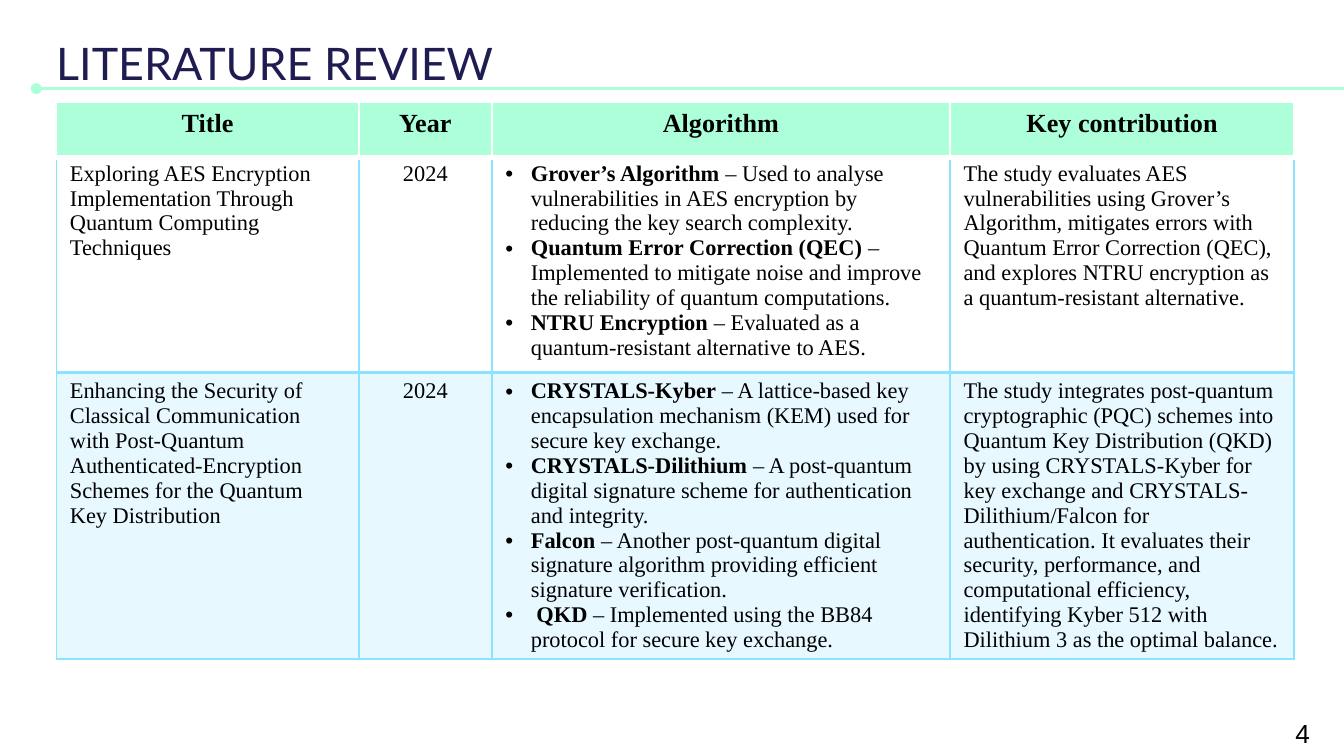
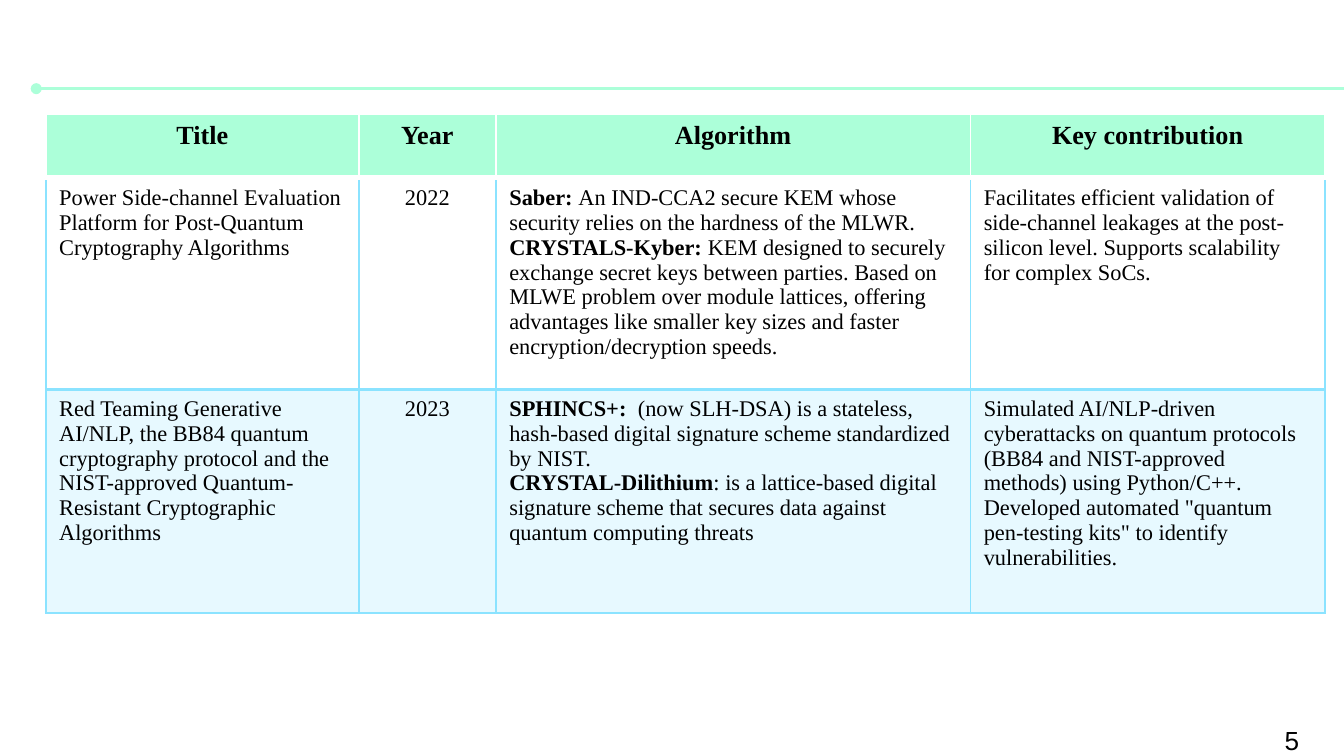
import pptx
import pptx.dml.color
import pptx.enum.shapes
import pptx.enum.text
import pptx.oxml.ns
import pptx.util
from lxml import etree

Inches = pptx.util.Inches
Pt = pptx.util.Pt
RGBColor = pptx.dml.color.RGBColor
ALIGN = pptx.enum.text.PP_ALIGN
qn = pptx.oxml.ns.qn

MINT = RGBColor(0xAC, 0xFF, 0xD9)
SKY = RGBColor(0x8B, 0xE3, 0xFF)
NAVY = RGBColor(0x1F, 0x1C, 0x51)
BLACK = RGBColor(0, 0, 0)
WHITE = RGBColor(0xFF, 0xFF, 0xFF)

SLIDE_W = 10
SLIDE_H = SLIDE_W * 9 / 16
SERIF, TITLE_FONT, NUMBER_FONT = "Times New Roman", "Lato", "Arial"
HEADINGS = ["Title", "Year", "Algorithm", "Key contribution"]
YEAR_COLUMN, ALGORITHM_COLUMN = 1, 2
BULLET_INDENT = 0.19

# Each paper: title, year, [(algorithm, description), ...], key contribution
AES_AND_QKD_PAPERS = [
    ("Exploring AES Encryption Implementation Through Quantum Computing Techniques",
     "2024",
     [("Grover’s Algorithm ", "– Used to analyse vulnerabilities in AES encryption by "
       "reducing the key search complexity."),
      ("Quantum Error Correction (QEC)", " – Implemented to mitigate noise and improve "
       "the reliability of quantum computations."),
      ("NTRU Encryption ", "– Evaluated as a quantum-resistant alternative to AES.")],
     "The study evaluates AES vulnerabilities using Grover’s Algorithm, mitigates errors "
     "with Quantum Error Correction (QEC), and explores NTRU encryption as a "
     "quantum-resistant alternative."),
    ("Enhancing the Security of Classical Communication with Post-Quantum "
     "Authenticated-Encryption Schemes for the Quantum Key Distribution",
     "2024",
     [("CRYSTALS-Kyber", " – A lattice-based key encapsulation mechanism (KEM) used for "
       "secure key exchange."),
      ("CRYSTALS-Dilithium", " – A post-quantum digital signature scheme for "
       "authentication and integrity."),
      ("Falcon", " – Another post-quantum digital signature algorithm providing "
       "efficient signature verification."),
      (" QKD", " – Implemented using the BB84 protocol for secure key exchange.")],
     "The study integrates post-quantum cryptographic (PQC) schemes into Quantum Key "
     "Distribution (QKD) by using CRYSTALS-Kyber for key exchange and "
     "CRYSTALS-Dilithium/Falcon for authentication. It evaluates their security, "
     "performance, and computational efficiency, identifying Kyber 512 with Dilithium 3 "
     "as the optimal balance."),
]
EVALUATION_PAPERS = [
    ("Power Side-channel Evaluation Platform for Post-Quantum Cryptography Algorithms",
     "2022",
     [("Saber: ", "An IND-CCA2 secure KEM whose security relies on the hardness of the "
       "MLWR."),
      ("CRYSTALS-Kyber: ", "KEM designed to securely exchange secret keys between "
       "parties. Based on MLWE problem over module lattices, offering advantages like "
       "smaller key sizes and faster encryption/decryption speeds.")],
     "Facilitates efficient validation of side-channel leakages at the post-silicon "
     "level. Supports scalability for complex SoCs."),
    ("Red Teaming Generative AI/NLP, the BB84 quantum cryptography protocol and the "
     "NIST-approved Quantum-Resistant Cryptographic Algorithms",
     "2023",
     [("SPHINCS+:  ", "(now SLH-DSA) is a stateless, hash-based digital signature scheme "
       "standardized by NIST."),
      ("CRYSTAL-Dilithium", ": is a lattice-based digital signature scheme that secures "
       "data against quantum computing threats")],
     "Simulated AI/NLP-driven cyberattacks on quantum protocols (BB84 and NIST-approved "
     "methods) using Python/C++. Developed automated \"quantum pen-testing kits\" to "
     "identify vulnerabilities."),
]


def add_bullet(paragraph):
    props = paragraph._p.get_or_add_pPr()
    props.set("marL", str(Inches(BULLET_INDENT)))
    props.set("indent", str(-Inches(BULLET_INDENT)))
    bullet_color = etree.SubElement(props, qn("a:buClr"))
    etree.SubElement(bullet_color, qn("a:srgbClr"), val=str(BLACK))
    etree.SubElement(props, qn("a:buFont"), typeface=NUMBER_FONT)
    etree.SubElement(props, qn("a:buChar"), char="•")


def write(frame, content, size=12, font=SERIF, color=BLACK, bold=False,
          align=ALIGN.LEFT, bullets=False):
    """Fill a frame with one string, or with (bold lead, plain rest) paragraphs."""
    frame.word_wrap = True
    paragraphs = [[(content, bold)]] if isinstance(content, str) else [
        [(lead, True), (rest, False)] for lead, rest in content]
    for index, pieces in enumerate(paragraphs):
        paragraph = frame.add_paragraph() if index else frame.paragraphs[0]
        paragraph.alignment = align
        if bullets:
            add_bullet(paragraph)
        for text, is_bold in pieces:
            run = paragraph.add_run()
            run.text = text
            run.font.size = Pt(size)
            run.font.name = font
            run.font.bold = is_bold
            run.font.color.rgb = color


def add_text(slide, left, top, width, height, content, **text_format):
    box = slide.shapes.add_textbox(Inches(left), Inches(top), Inches(width), Inches(height))
    write(box.text_frame, content, **text_format)
    return box


def set_borders(cell, color, bottom):
    """Draw 1 pt sides and a bottom edge of the given weight."""
    props = cell._tc.get_or_add_tcPr()
    for index, (side, weight) in enumerate(zip("LRTB", (1, 1, 1, bottom))):
        edge = etree.Element(qn(f"a:ln{side}"), w=str(Pt(weight)))
        fill = etree.SubElement(edge, qn("a:solidFill"))
        etree.SubElement(fill, qn("a:srgbClr"), val=str(color))
        props.insert(index, edge)


def fill_cell(cell, color, opacity=100):
    cell.fill.solid()
    cell.fill.fore_color.rgb = color
    if opacity < 100:
        tint = cell._tc.tcPr.find(qn("a:solidFill")).find(qn("a:srgbClr"))
        etree.SubElement(tint, qn("a:alpha"), val=str(opacity * 1000))


def add_grid(slide, left, top, widths, heights):
    frame = slide.shapes.add_table(len(heights), len(widths), Inches(left), Inches(top),
                                   Inches(sum(widths)), Inches(sum(heights)))
    grid = frame.table
    grid.first_row = grid.horz_banding = False
    for column, width in zip(grid.columns, widths):
        column.width = Inches(width)
    for row, height in zip(grid.rows, heights):
        row.height = Inches(height)
    return grid


def add_heading_row(slide, left, top, widths, height):
    grid = add_grid(slide, left, top, widths, [height])
    for cell, heading in zip(grid.rows[0].cells, HEADINGS):
        write(cell.text_frame, heading, size=14, bold=True, align=ALIGN.CENTER)
        fill_cell(cell, MINT)
        set_borders(cell, WHITE, bottom=3)


def add_papers(slide, left, top, widths, heights, papers, bullets):
    grid = add_grid(slide, left, top, widths, heights)
    for index, paper in enumerate(papers):
        shaded = index % 2 == 1
        for column, content in enumerate(paper):
            cell = grid.cell(index, column)
            write(cell.text_frame, content,
                  align=ALIGN.CENTER if column == YEAR_COLUMN else ALIGN.LEFT,
                  bullets=bullets and column == ALGORITHM_COLUMN)
            if shaded:
                fill_cell(cell, SKY, opacity=20)
            else:
                cell.fill.background()
            set_borders(cell, SKY, bottom=1 if shaded else 2)


def add_title_rule(slide):
    rule = slide.shapes.add_connector(pptx.enum.shapes.MSO_CONNECTOR.STRAIGHT, Inches(0.27),
                                      Inches(0.66), Inches(10.1), Inches(0.66))
    rule.line.color.rgb = MINT
    rule.line.width = Pt(1.5)
    etree.SubElement(rule.line._get_or_add_ln(), qn("a:headEnd"), type="oval")
    etree.SubElement(rule._element.spPr, qn("a:effectLst"))


def add_title(slide, title):
    box = add_text(slide, 0.32, 0.17, 6.65, 0.59, title, size=24, font=TITLE_FONT, color=NAVY)
    frame = box.text_frame
    frame.margin_top = frame.margin_bottom = Inches(0.1)
    frame.vertical_anchor = pptx.enum.text.MSO_ANCHOR.MIDDLE


def add_review_slide(deck, number, number_box, papers, left, heading_top, heading_height,
                     papers_top, widths, heights, title=None, bullets=False):
    slide = deck.slides.add_slide(deck.slide_layouts[6])
    slide.background.fill.solid()
    slide.background.fill.fore_color.rgb = WHITE
    add_title_rule(slide)
    add_papers(slide, left, papers_top, widths, heights, papers, bullets)
    if title:
        add_title(slide, title)
    add_heading_row(slide, left, heading_top, widths, heading_height)
    add_text(slide, *number_box, number, size=14, font=NUMBER_FONT)


def main():
    deck = pptx.Presentation()
    deck.slide_width, deck.slide_height = Inches(SLIDE_W), Inches(SLIDE_H)
    add_review_slide(deck, "4", (9.54, 5.29, 0.91, 0.34), AES_AND_QKD_PAPERS, left=0.42,
                     heading_top=0.76, heading_height=0.41, papers_top=1.15,
                     widths=[2.25, 0.99, 3.41, 2.56], heights=[1.62, 2.13],
                     title="LITERATURE REVIEW", bullets=True)
    add_review_slide(deck, "5", (9.46, 5.34, 0.47, 0.34), EVALUATION_PAPERS, left=0.34,
                     heading_top=0.85, heading_height=0.47, papers_top=1.33,
                     widths=[2.33, 1.02, 3.53, 2.64], heights=[1.57, 1.66])
    deck.save("out.pptx")


if __name__ == "__main__":
    main()
